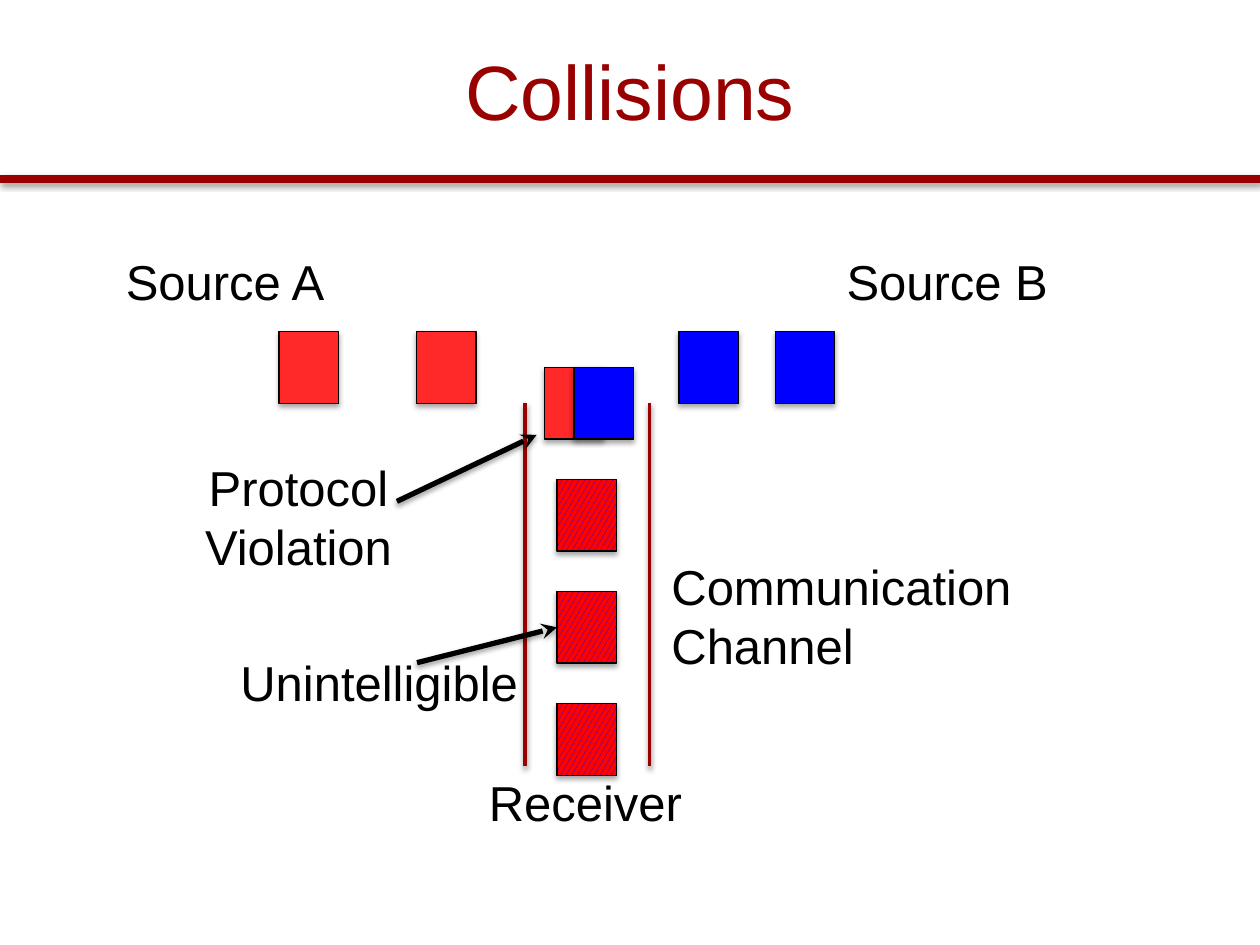
"""Build a slide that shows packets from two sources colliding in a channel."""
from lxml import etree
from pptx import Presentation
from pptx.dml.color import RGBColor
from pptx.enum.dml import MSO_PATTERN
from pptx.enum.shapes import MSO_CONNECTOR, MSO_SHAPE
from pptx.enum.text import MSO_ANCHOR, MSO_AUTO_SIZE, PP_ALIGN
from pptx.oxml.ns import qn
from pptx.util import Pt

CENTER, LEFT = PP_ALIGN.CENTER, PP_ALIGN.LEFT
RECTANGLE, STRAIGHT = MSO_SHAPE.RECTANGLE, MSO_CONNECTOR.STRAIGHT
CONFETTI = MSO_PATTERN.LARGE_CONFETTI
LEFT_SIDE = 1

THEME = {
    "font": "Arial", "title_size": 44, "label_size": 28,
    "accent": "990000", "ink": "000000",
    "source_a": "FF2929", "source_b": "0000FF", "garbled": "FF0000",
    "packet_shadow": {"opacity": 35, "distance": 1.8},
    "line_shadow": {"opacity": 38, "distance": 1.6},
}
SLIDE_SIZE = (720, 540)
TITLE = ("Collisions", (36, 6.5, 648, 90))
RULE_TOP, RULE_WEIGHT = 102.25, 5

LABELS = [
    (["Source A"], (64.8, 140.4, 129.6, 41), LEFT),
    (["Source B"], (476.64, 140.4, 131, 41), LEFT),
    (["Receiver"], (272.2, 437.8, 126, 41), LEFT),
    (["Communication", "Channel"], (376.6, 314.6, 211, 75), LEFT),
    (["Unintelligible"], (130.3, 369.4, 175, 41), LEFT),
    (["Protocol", "Violation"], (109.4, 257.8, 122.4, 75), CENTER),
]

PACKET_SIZE = (34, 41)
SENT_TOP, COLLISION_TOP = 189.5, 210
PACKETS = [
    ("source_a", 159.5, SENT_TOP), ("source_a", 238, SENT_TOP),
    ("source_b", 388, SENT_TOP), ("source_b", 443, SENT_TOP),
    ("source_a", 311, COLLISION_TOP), ("source_b", 328, COLLISION_TOP),
]
GARBLED_COUNT, GARBLED_LEFT, GARBLED_TOP, GARBLED_STEP = 3, 318.25, 274, 64

CHANNEL_WALLS, CHANNEL_TOP, CHANNEL_BOTTOM = (300, 371.25), 230.5, 438
VIOLATION_ARROW = ((226.8, 286.5), (306.7, 248.5))
UNINTELLIGIBLE_START = (238.3, 378.7)
ARROW_WEIGHT, WALL_WEIGHT = 3, 2


def color(name):
    return RGBColor.from_string(THEME[name])


def points(values):
    return [Pt(value) for value in values]


def apply_format(target, values):
    for name, value in values.items():
        setattr(target, name, value)


def add_shadow(effects, opacity, distance):
    shadow = etree.SubElement(effects, qn("a:outerShdw"), blurRad=str(Pt(3.1)),
                              dist=str(Pt(distance)), dir="5400000", rotWithShape="0")
    tint = etree.SubElement(shadow, qn("a:srgbClr"), val=THEME["ink"])
    etree.SubElement(tint, qn("a:alpha"), val=str(opacity * 1000))


def write_text(shape, lines, size, color_name, alignment, frame_format):
    frame = shape.text_frame
    frame.text = "\n".join(lines)
    apply_format(frame, frame_format)
    for paragraph in frame.paragraphs:
        paragraph.alignment = alignment
        apply_format(paragraph.runs[0].font, {"name": THEME["font"], "size": Pt(size)})
        paragraph.runs[0].font.color.rgb = color(color_name)


def add_label(slide, lines, box, alignment):
    shape = slide.shapes.add_textbox(*points(box))
    write_text(shape, lines, THEME["label_size"], "ink", alignment,
               {"word_wrap": False, "auto_size": MSO_AUTO_SIZE.SHAPE_TO_FIT_TEXT})


def add_packet(slide, color_name, left, top):
    packet = slide.shapes.add_shape(RECTANGLE, *points((left, top, *PACKET_SIZE)))
    if color_name == "garbled":
        packet.fill.patterned()
        packet.fill.pattern = CONFETTI
        packet.fill.fore_color.rgb = color("source_b")
        packet.fill.back_color.rgb = color("garbled")
    else:
        packet.fill.solid()
        packet.fill.fore_color.rgb = color(color_name)
    packet.line.color.rgb = color("ink")
    packet.line.width = Pt(0.75)
    packet.shadow.inherit = False
    effects = packet.element.spPr.find(qn("a:effectLst"))
    add_shadow(effects, **THEME["packet_shadow"])
    return packet


def add_line(slide, start, end, color_name, weight, arrow=False):
    line = slide.shapes.add_connector(STRAIGHT, *points((*start, *end)))
    line.line.color.rgb = color(color_name)
    line.line.width = Pt(weight)
    properties = line.element.spPr
    if arrow:
        etree.SubElement(properties.find(qn("a:ln")), qn("a:tailEnd"), type="stealth")
    effects = etree.SubElement(properties, qn("a:effectLst"))
    add_shadow(effects, **THEME["line_shadow"])
    return line


def main():
    presentation = Presentation()
    presentation.slide_width, presentation.slide_height = points(SLIDE_SIZE)
    slide = presentation.slides.add_slide(presentation.slide_layouts[5])

    add_line(slide, (0, RULE_TOP), (SLIDE_SIZE[0], RULE_TOP), "accent", RULE_WEIGHT)
    title_text, title_box = TITLE
    title = slide.shapes.title
    apply_format(title, dict(zip(("left", "top", "width", "height"), points(title_box))))
    write_text(title, [title_text], THEME["title_size"], "accent", CENTER,
               {"vertical_anchor": MSO_ANCHOR.MIDDLE})

    for wall in CHANNEL_WALLS:
        add_line(slide, (wall, CHANNEL_TOP), (wall, CHANNEL_BOTTOM), "accent", WALL_WEIGHT)
    for packet in PACKETS:
        add_packet(slide, *packet)
    garbled = [add_packet(slide, "garbled", GARBLED_LEFT, GARBLED_TOP + index * GARBLED_STEP)
               for index in range(GARBLED_COUNT)]
    for label in LABELS:
        add_label(slide, *label)

    add_line(slide, *VIOLATION_ARROW, "ink", ARROW_WEIGHT, arrow=True)
    pointer = add_line(slide, UNINTELLIGIBLE_START, UNINTELLIGIBLE_START,
                       "ink", ARROW_WEIGHT, arrow=True)
    pointer.end_connect(garbled[1], LEFT_SIDE)
    presentation.save("out.pptx")


if __name__ == "__main__":
    main()
